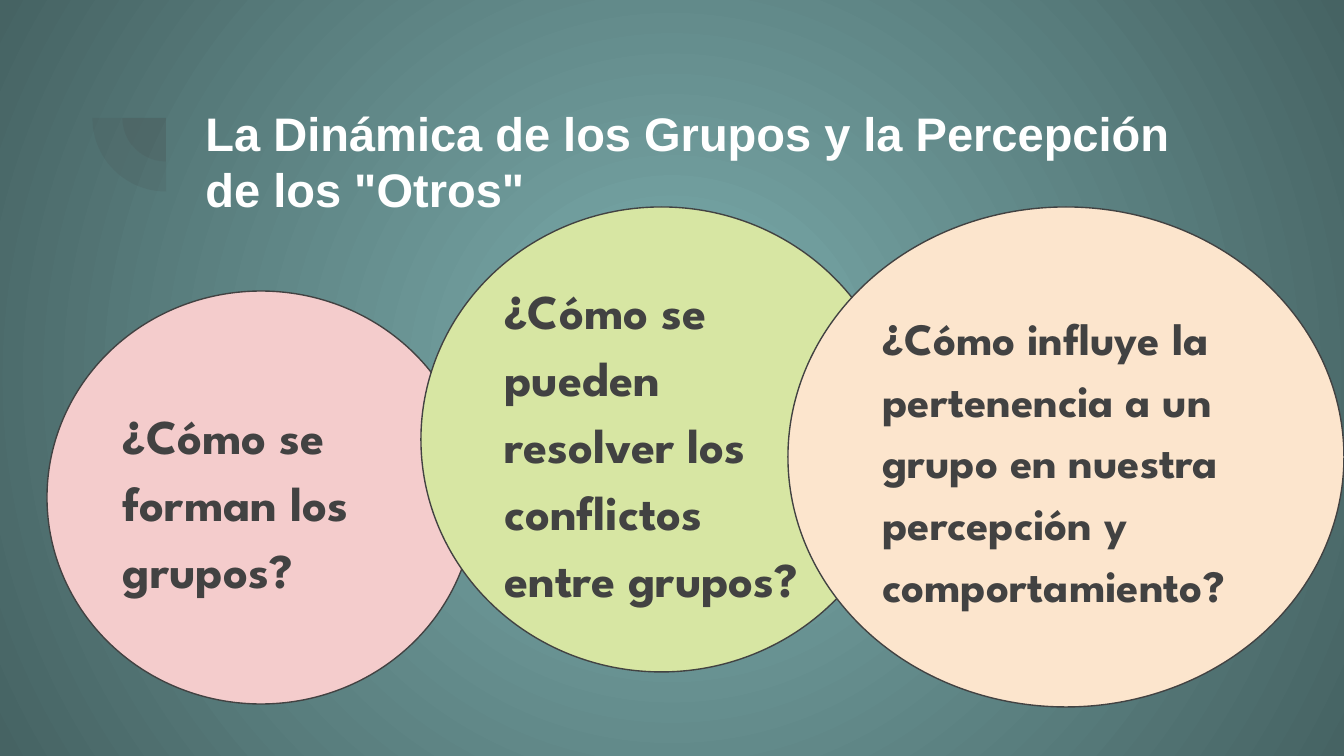
import pptx
import pptx.util
import pptx.oxml
import pptx.dml.color
import pptx.enum.shapes
import pptx.enum.text
import pptx.oxml.ns

PX = 914400 / 134.4
COLORS = {
    "center": "7DAFAF",
    "edge": "466363",
    "dark": "424242",
    "title": "FFFFFF",
    "pink": "F4CCCC",
    "green": "D7E6A3",
    "peach": "FCE5CD",
}
SHAPE = pptx.enum.shapes.MSO_SHAPE
ANCHOR = pptx.enum.text.MSO_ANCHOR
ALIGN = pptx.enum.text.PP_ALIGN
TITLE = 'La Dinámica de los Grupos y la Percepción de los "Otros"'
# left, top, width, height, fill, font size, question
QUESTIONS = [
    (47, 291, 428, 413, "pink", 26, "¿Cómo se forman los grupos?"),
    (421, 207, 481, 465, "green", 26,
     "¿Cómo se pueden resolver los conflictos entre grupos?"),
    (788, 207, 556, 500, "peach", 24,
     "¿Cómo influye la pertenencia a un grupo en nuestra percepción y comportamiento?"),
]


def px(n):
    return pptx.util.Emu(round(n * PX))


def rgb(name):
    return pptx.dml.color.RGBColor.from_string(COLORS[name])


def set_background(s):
    """Radial gradient from the centre of the slide to its edges."""
    fill = s.background.fill
    fill.gradient()
    for stop, position, name in zip(fill.gradient_stops, (0, 1), ("center", "edge")):
        stop.position = position
        stop.color.rgb = rgb(name)
    lin = next(s.element.iter(pptx.oxml.ns.qn("a:lin")))
    lin.getparent().replace(lin, pptx.oxml.parse_xml(
        f'<a:path {pptx.oxml.ns.nsdecls("a")} path="circle">'
        '<a:fillToRect l="50000" t="50000" r="50000" b="50000"/></a:path>'))


def set_text(sp, text, font, size, color):
    tf = sp.text_frame
    tf.word_wrap = True
    tf.vertical_anchor = ANCHOR.MIDDLE
    tf.margin_left = tf.margin_right = tf.margin_top = tf.margin_bottom = pptx.util.Inches(0.1)
    p = tf.paragraphs[0]
    p.text = text
    p.alignment = ALIGN.LEFT
    p.font.name = font
    p.font.size = pptx.util.Pt(size)
    p.font.bold = True
    p.font.color.rgb = rgb(color)
    return p


def add_filled(s, kind, left, top, width, height, color):
    sp = s.shapes.add_shape(kind, px(left), px(top), px(width), px(height))
    sp.shadow.inherit = False
    sp.fill.solid()
    sp.fill.fore_color.rgb = rgb(color)
    return sp


def add_quarter(s, cx, cy, size):
    """Translucent quarter disc, lower left of its centre."""
    sp = add_filled(s, SHAPE.PIE, cx - size / 2, cy - size / 2, size, size, "dark")
    sp.adjustments[0] = 107.93
    sp.adjustments[1] = 162
    sp.rotation = 270
    sp.line.fill.background()
    color = next(sp.element.spPr.iter(pptx.oxml.ns.qn("a:srgbClr")))
    color.append(pptx.oxml.parse_xml(
        f'<a:alpha {pptx.oxml.ns.nsdecls("a")} val="12000"/>'))


def set_title(s):
    sp = s.shapes.title
    sp.left, sp.top, sp.width, sp.height = map(px, (192, 87, 1034, 147))
    set_text(sp, TITLE, "Arial", 25.2, "title")


def add_question(s, left, top, width, height, color, size, text):
    sp = add_filled(s, SHAPE.OVAL, left, top, width, height, color)
    sp.line.color.rgb = rgb("dark")
    sp.line.width = pptx.util.Pt(0.75)
    p = set_text(sp, text, "League Spartan", size, "dark")
    p.line_spacing = 1.15
    p.space_after = pptx.util.Pt(12)


def main():
    prs = pptx.Presentation()
    prs.slide_width, prs.slide_height = px(1344), px(756)
    s = prs.slides.add_slide(prs.slide_layouts[5])
    set_background(s)
    for size in (87, 147):
        add_quarter(s, 166, 118, size)
    set_title(s)
    for question in QUESTIONS:
        add_question(s, *question)
    prs.save("out.pptx")


if __name__ == "__main__":
    main()
